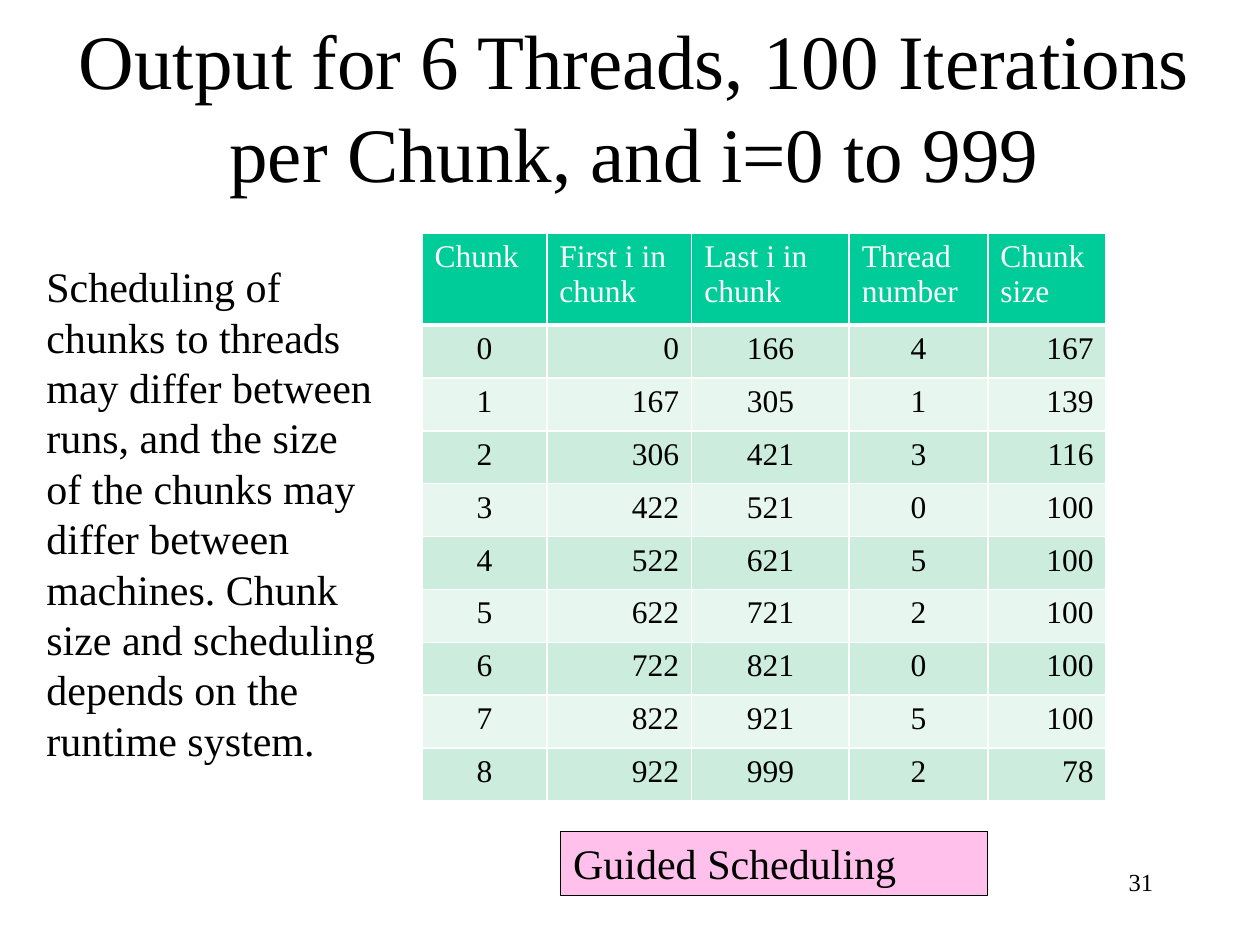
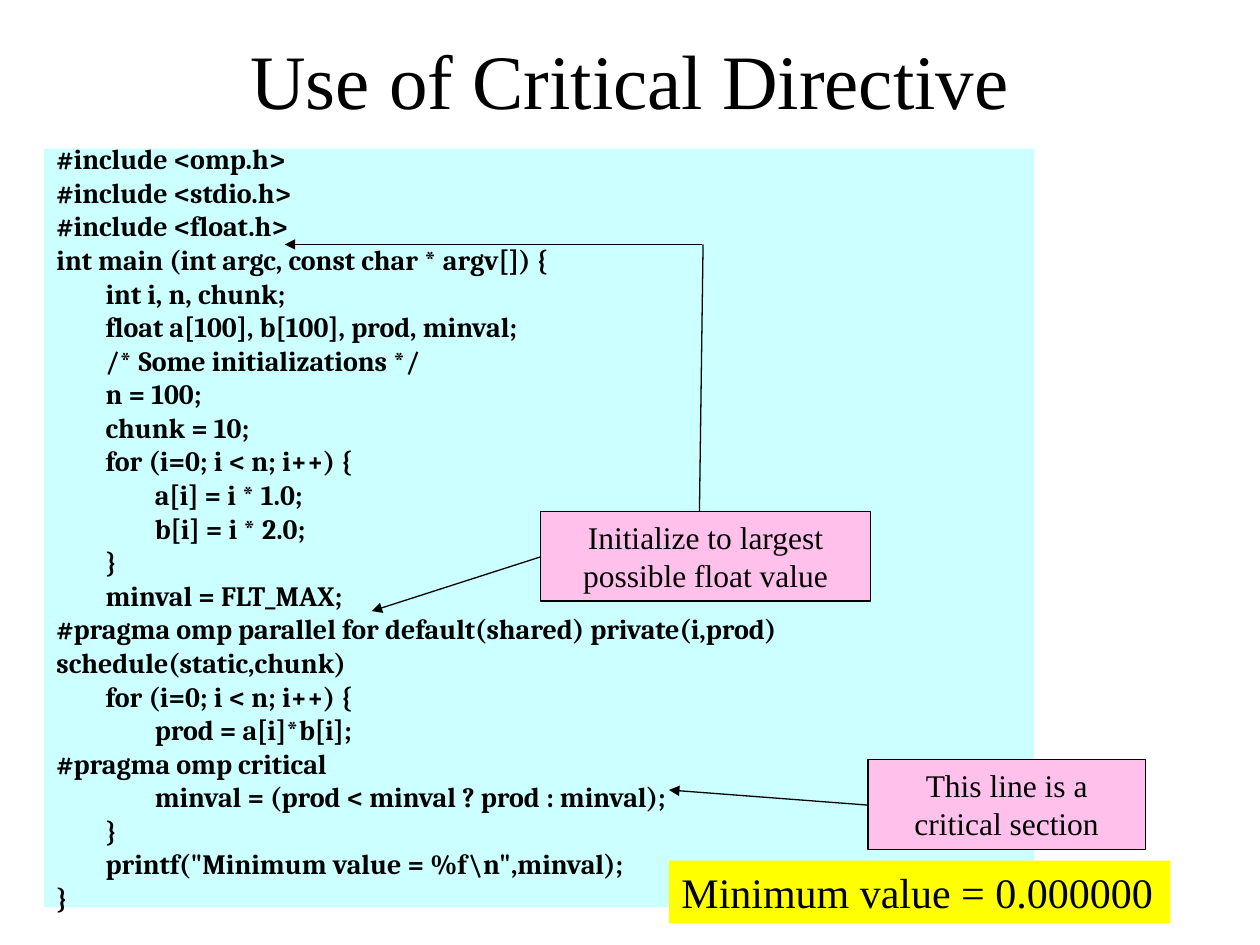
from lxml import etree
from pptx import Presentation
from pptx.dml.color import RGBColor
from pptx.enum.shapes import MSO_CONNECTOR, MSO_SHAPE
from pptx.enum.text import MSO_ANCHOR, MSO_AUTO_SIZE, PP_ALIGN
from pptx.oxml.ns import qn
from pptx.util import Inches, Pt

# Content
CHUNK_TITLE = "Output for 6 Threads, 100 Iterations per Chunk, and i=0 to 999"
CHUNK_NOTE = (
    "Scheduling of chunks to threads may differ between runs, and the size of the "
    "chunks may differ between machines. Chunk size and scheduling depends on the "
    "runtime system."
)
CHUNK_HEADERS = ["Chunk", "First i in chunk", "Last i in chunk", "Thread number", "Chunk size"]
CHUNK_ROWS = [
    (0, 0, 166, 4, 167),
    (1, 167, 305, 1, 139),
    (2, 306, 421, 3, 116),
    (3, 422, 521, 0, 100),
    (4, 522, 621, 5, 100),
    (5, 622, 721, 2, 100),
    (6, 722, 821, 0, 100),
    (7, 822, 921, 5, 100),
    (8, 922, 999, 2, 78),
]
COLUMN_WIDTHS = [0.99, 1.15, 1.25, 1.1, 0.94]
COLUMN_ALIGNS = [PP_ALIGN.CENTER, PP_ALIGN.RIGHT, PP_ALIGN.CENTER, PP_ALIGN.CENTER, PP_ALIGN.RIGHT]
HEADER_HEIGHT, ROW_HEIGHT = 0.73, 0.42

CRITICAL_TITLE = "Use of Critical Directive"
CRITICAL_CODE = r"""#include <omp.h>
#include <stdio.h>
#include <float.h>
int main (int argc, const char * argv[]) {
        int i, n, chunk;
        float a[100], b[100], prod, minval;
        /* Some initializations */
        n = 100;
        chunk = 10;
        for (i=0; i < n; i++) {
                a[i] = i * 1.0;
                b[i] = i * 2.0;
        }
        minval = FLT_MAX;
#pragma omp parallel for default(shared) private(i,prod) schedule(static,chunk)
        for (i=0; i < n; i++) {
                prod = a[i]*b[i];
#pragma omp critical
                minval = (prod < minval ? prod : minval);
        }
        printf("Minimum value = %f\n",minval);
}"""
# Start, end, arrowhead at the end
POINTERS = [
    ((5.55, 4.14), (5.58, 1.94), False),
    ((5.57, 1.94), (2.26, 1.94), True),
    ((4.29, 4.42), (2.95, 4.85), True),
    ((6.89, 6.39), (5.31, 6.27), True),
]
CALLOUTS = [
    ("Initialize to largest possible float value", (4.29, 4.06, 2.62, 0.71)),
    ("This line is a critical section", (6.89, 6.03, 2.2, 0.71)),
]

# Shared style
COLORS = {
    "text": "000000",
    "white": "FFFFFF",
    "header": "00CC99",
    "odd_row": "CCECDE",
    "even_row": "E7F6EF",
    "callout": "FFC1EC",
    "code": "CCFFFF",
    "result": "FFFF00",
}
TEXT_FONT, CODE_FONT = "Times New Roman", "Cambria"
LINE_HEIGHT = 1.2
LINE_WIDTH = 0.75


def color(name):
    return RGBColor.from_string(COLORS[name])


def write(frame, text, size=24, font=TEXT_FONT, ink="text", bold=False,
          align=PP_ALIGN.LEFT, anchor=MSO_ANCHOR.TOP, line_height=LINE_HEIGHT):
    """Fill a text frame, one paragraph per line of text."""
    frame.word_wrap = True
    frame.auto_size = MSO_AUTO_SIZE.NONE
    frame.vertical_anchor = anchor
    for index, line in enumerate(text.split("\n")):
        paragraph = frame.add_paragraph() if index else frame.paragraphs[0]
        paragraph.alignment = align
        if line_height:
            paragraph.line_spacing = Pt(round(size * line_height, 1))
        run = paragraph.add_run()
        run.text = line
        run.font.name, run.font.size, run.font.bold = font, Pt(size), bold
        run.font.color.rgb = color(ink)


def add_titled_slide(presentation, title, box):
    slide = presentation.slides.add_slide(presentation.slide_layouts[5])
    shape = slide.shapes.title
    shape.left, shape.top, shape.width, shape.height = map(Inches, box)
    write(shape.text_frame, title, size=44, align=PP_ALIGN.CENTER, anchor=MSO_ANCHOR.MIDDLE)
    return slide


def add_text(slide, text, box, **text_format):
    shape = slide.shapes.add_textbox(*map(Inches, box))
    write(shape.text_frame, text, **text_format)


def add_box(slide, text, box, fill, outlined=False, **text_format):
    shape = slide.shapes.add_shape(MSO_SHAPE.RECTANGLE, *map(Inches, box))
    shape.shadow.inherit = False
    shape.fill.solid()
    shape.fill.fore_color.rgb = color(fill)
    if outlined:
        shape.line.color.rgb = color("text")
        shape.line.width = Pt(LINE_WIDTH)
    else:
        shape.line.fill.background()
    write(shape.text_frame, text, **text_format)


def add_pointer(slide, start, end, arrow):
    connector = slide.shapes.add_connector(MSO_CONNECTOR.STRAIGHT, *map(Inches, start + end))
    connector.line.color.rgb = color("text")
    connector.line.width = Pt(LINE_WIDTH)
    properties = connector._element.spPr
    if arrow:
        etree.SubElement(properties.find(qn("a:ln")), qn("a:tailEnd"), type="triangle")
    etree.SubElement(properties, qn("a:effectLst"))


def set_borders(cell, bottom):
    properties = cell._tc.get_or_add_tcPr()
    for side, width in (("L", 1), ("R", 1), ("T", 1), ("B", bottom)):
        line = etree.SubElement(properties, qn(f"a:ln{side}"), w=str(Pt(width)))
        fill = etree.SubElement(line, qn("a:solidFill"))
        etree.SubElement(fill, qn("a:srgbClr"), val=COLORS["white"])


def add_chunk_table(slide, left, top):
    rows = [CHUNK_HEADERS] + CHUNK_ROWS
    heights = [HEADER_HEIGHT] + [ROW_HEIGHT] * len(CHUNK_ROWS)
    size = map(Inches, (left, top, sum(COLUMN_WIDTHS), sum(heights)))
    table = slide.shapes.add_table(len(rows), len(COLUMN_WIDTHS), *size).table
    for column, width in zip(table.columns, COLUMN_WIDTHS):
        column.width = Inches(width)
    for row_index, values in enumerate(rows):
        table.rows[row_index].height = Inches(heights[row_index])
        is_header = row_index == 0
        fill = "header" if is_header else "odd_row" if row_index % 2 else "even_row"
        for column_index, value in enumerate(values):
            cell = table.cell(row_index, column_index)
            set_borders(cell, bottom=3 if is_header else 1)
            cell.fill.solid()
            cell.fill.fore_color.rgb = color(fill)
            write(cell.text_frame, str(value), size=18, line_height=None,
                  ink="white" if is_header else "text",
                  align=PP_ALIGN.LEFT if is_header else COLUMN_ALIGNS[column_index])


def build_chunk_slide(presentation):
    slide = add_titled_slide(presentation, CHUNK_TITLE, (0.43, 0.21, 9.21, 1.25))
    add_text(slide, CHUNK_NOTE, (0.27, 2.02, 2.84, 4.5))
    add_text(slide, "31", (7.17, 6.83, 2.08, 0.5), size=14, align=PP_ALIGN.RIGHT)
    add_chunk_table(slide, 3.35, 1.85)
    add_box(slide, "Guided Scheduling", (4.45, 6.6, 3.39, 0.51), "callout", outlined=True)


def build_critical_slide(presentation):
    slide = add_titled_slide(presentation, CRITICAL_TITLE, (0.75, 0, 8.5, 1.25))
    add_box(slide, CRITICAL_CODE, (0.35, 1.18, 7.86, 6.02), "code",
            size=16, font=CODE_FONT, bold=True, anchor=MSO_ANCHOR.MIDDLE)
    for start, end, arrow in POINTERS:
        add_pointer(slide, start, end, arrow)
    for text, box in CALLOUTS:
        add_box(slide, text, box, "callout", outlined=True, size=18, align=PP_ALIGN.CENTER)
    add_box(slide, "Minimum value = 0.000000", (5.31, 6.83, 3.98, 0.5), "result")


def main():
    presentation = Presentation()
    presentation.slide_width, presentation.slide_height = Inches(10), Inches(7.5)
    build_chunk_slide(presentation)
    build_critical_slide(presentation)
    presentation.save("out.pptx")


if __name__ == "__main__":
    main()
